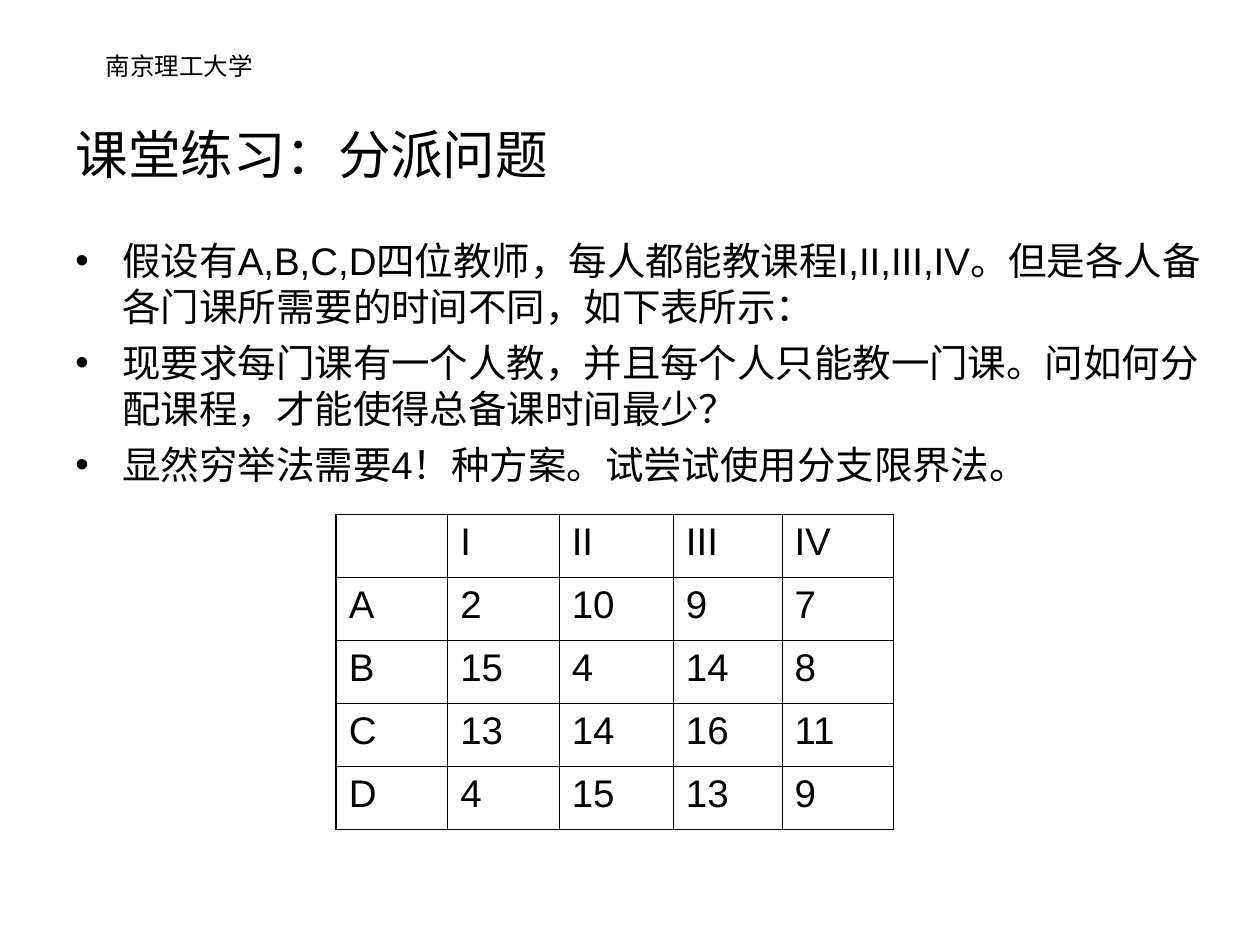
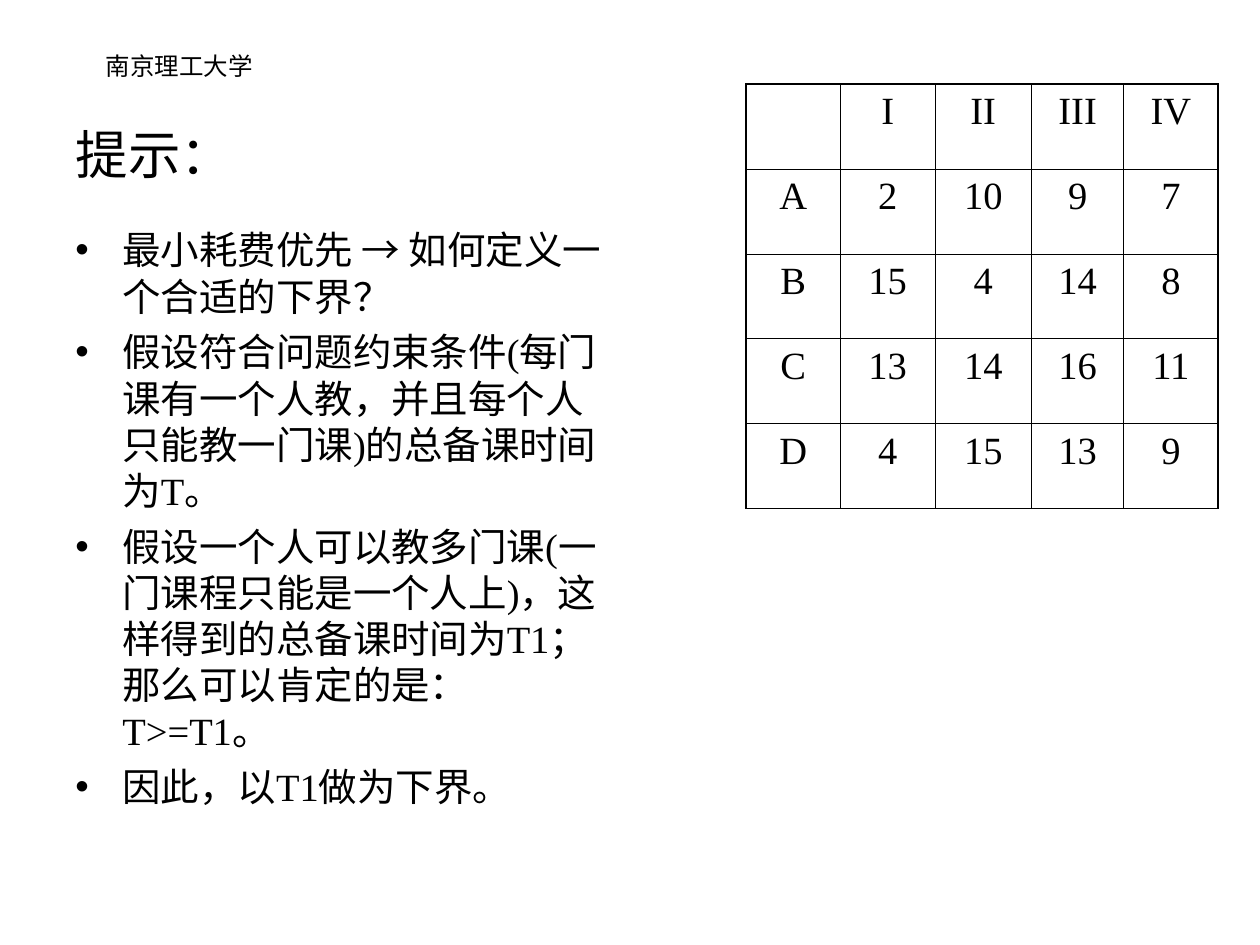
from lxml.etree import SubElement
from pptx import Presentation
from pptx.dml.color import RGBColor
from pptx.enum.text import MSO_ANCHOR as Anchor, PP_ALIGN as Align
from pptx.oxml.ns import qn
from pptx.util import Cm, Pt

ARIAL = "Arial"
TIMES = "Times New Roman"
BLACK = "000000"
ARROW = "→"
COLUMN_SHARES = (20, 20, 20.5, 19.5, 20)
PREPARATION_TIMES = (
    ("", "I", "II", "III", "IV"),
    ("A", "2", "10", "9", "7"),
    ("B", "15", "4", "14", "8"),
    ("C", "13", "14", "16", "11"),
    ("D", "4", "15", "13", "9"),
)


def colour(hex_string):
    return RGBColor.from_string(hex_string)


class Deck:
    title_size = 30
    body_size = 22
    label_size = 14
    space_before = 5.5
    bullet_indent = Cm(0.95)
    thin_line = Pt(0.45)
    thick_line = Pt(1.08)

    def __init__(self):
        self.presentation = Presentation()
        self.presentation.slide_width = Cm(25.4)
        self.presentation.slide_height = Cm(19.05)
        self.slide = None

    def format(self, paragraph, size, font_name, alignment=Align.LEFT):
        paragraph.alignment = alignment
        paragraph.font.size = Pt(size)
        paragraph.font.name = font_name
        paragraph.font.color.rgb = colour(BLACK)

    def add_slide(self, title, font_name):
        layout = self.presentation.slide_layouts[5]
        self.slide = self.presentation.slides.add_slide(layout)
        self.add_label("南京理工大学")
        shape = self.slide.shapes.title
        shape.left, shape.top = Cm(1.27), Cm(1.5)
        shape.width, shape.height = Cm(22.86), Cm(3.17)
        shape.text_frame.text = title
        shape.text_frame.vertical_anchor = Anchor.MIDDLE
        self.format(shape.text_frame.paragraphs[0], self.title_size, font_name)

    def add_text_frame(self, left, top, width, height):
        shape = self.slide.shapes.add_textbox(
            Cm(left), Cm(top), Cm(width), Cm(height))
        shape.text_frame.word_wrap = True
        return shape.text_frame

    def add_label(self, text):
        frame = self.add_text_frame(-0.41, 0.91, 8.05, 1.32)
        frame.text = text
        self.format(frame.paragraphs[0], self.label_size, ARIAL, Align.CENTER)

    def add_bullet(self, paragraph):
        properties = paragraph._p.get_or_add_pPr()
        properties.set("marL", str(self.bullet_indent))
        properties.set("indent", str(-self.bullet_indent))
        bullet_colour = SubElement(properties, qn("a:buClr"))
        SubElement(bullet_colour, qn("a:srgbClr"), val=BLACK)
        SubElement(properties, qn("a:buFont"), typeface=ARIAL)
        SubElement(properties, qn("a:buChar"), char="•")

    def add_bullets(self, texts, font_name, left, top, width, height):
        frame = self.add_text_frame(left, top, width, height)
        for index, text in enumerate(texts):
            paragraph = frame.add_paragraph() if index else frame.paragraphs[0]
            self.add_bullet(paragraph)
            if index:
                paragraph.space_before = Pt(self.space_before)
            self.format(paragraph, self.body_size, font_name)
            for part in filter(None, text.partition(ARROW)):
                run = paragraph.add_run()
                run.text = part
                if part == ARROW:
                    run.font.name = ARIAL

    def add_borders(self, cell, row, column, last_row, last_column):
        outer_edges = {
            "a:lnL": column == 0,
            "a:lnR": column == last_column,
            "a:lnT": row == 0,
            "a:lnB": row == last_row,
        }
        properties = cell._tc.get_or_add_tcPr()
        for tag, is_outer in outer_edges.items():
            line_width = self.thick_line if is_outer else self.thin_line
            line = SubElement(properties, qn(tag), w=str(line_width))
            fill = SubElement(line, qn("a:solidFill"))
            SubElement(fill, qn("a:srgbClr"), val=BLACK)

    def add_table(self, rows, font_name, alignment, left, top, width, height):
        row_count, column_count = len(rows), len(rows[0])
        table = self.slide.shapes.add_table(
            row_count, column_count,
            Cm(left), Cm(top), Cm(width), Cm(height)).table
        table.first_row = table.horz_banding = False
        for column, share in zip(table.columns, COLUMN_SHARES):
            column.width = Cm(width * share / sum(COLUMN_SHARES))
        for row, values in enumerate(rows):
            for column, value in enumerate(values):
                cell = table.cell(row, column)
                cell.text = value
                self.add_borders(
                    cell, row, column, row_count - 1, column_count - 1)
                cell.fill.background()
                self.format(cell.text_frame.paragraphs[0], self.body_size,
                            font_name, alignment)

    def save(self):
        self.presentation.save("out.pptx")


def add_exercise_slide(deck):
    deck.add_slide("课堂练习：分派问题", ARIAL)
    deck.add_bullets((
        "假设有A,B,C,D四位教师，每人都能教课程I,II,III,IV。"
        "但是各人备各门课所需要的时间不同，如下表所示：",
        "现要求每门课有一个人教，并且每个人只能教一门课。"
        "问如何分配课程，才能使得总备课时间最少？",
        "显然穷举法需要4！种方案。试尝试使用分支限界法。",
    ), ARIAL, 1.27, 4.66, 23.29, 6.78)
    deck.add_table(PREPARATION_TIMES, ARIAL, Align.LEFT,
                   6.78, 10.37, 11.23, 6.35)


def add_hint_slide(deck):
    deck.add_slide("提示：", TIMES)
    deck.add_bullets((
        "最小耗费优先 → 如何定义一个合适的下界？",
        "假设符合问题约束条件(每门课有一个人教，"
        "并且每个人只能教一门课)的总备课时间为T。",
        "假设一个人可以教多门课(一门课程只能是一个人上)，"
        "这样得到的总备课时间为T1；那么可以肯定的是：T>=T1。",
        "因此，以T1做为下界。",
    ), TIMES, 1.27, 4.44, 11.23, 12.57)
    deck.add_table(PREPARATION_TIMES, TIMES, Align.CENTER,
                   15.04, 1.7, 9.52, 8.55)


def main():
    deck = Deck()
    add_exercise_slide(deck)
    add_hint_slide(deck)
    deck.save()


if __name__ == "__main__":
    main()
